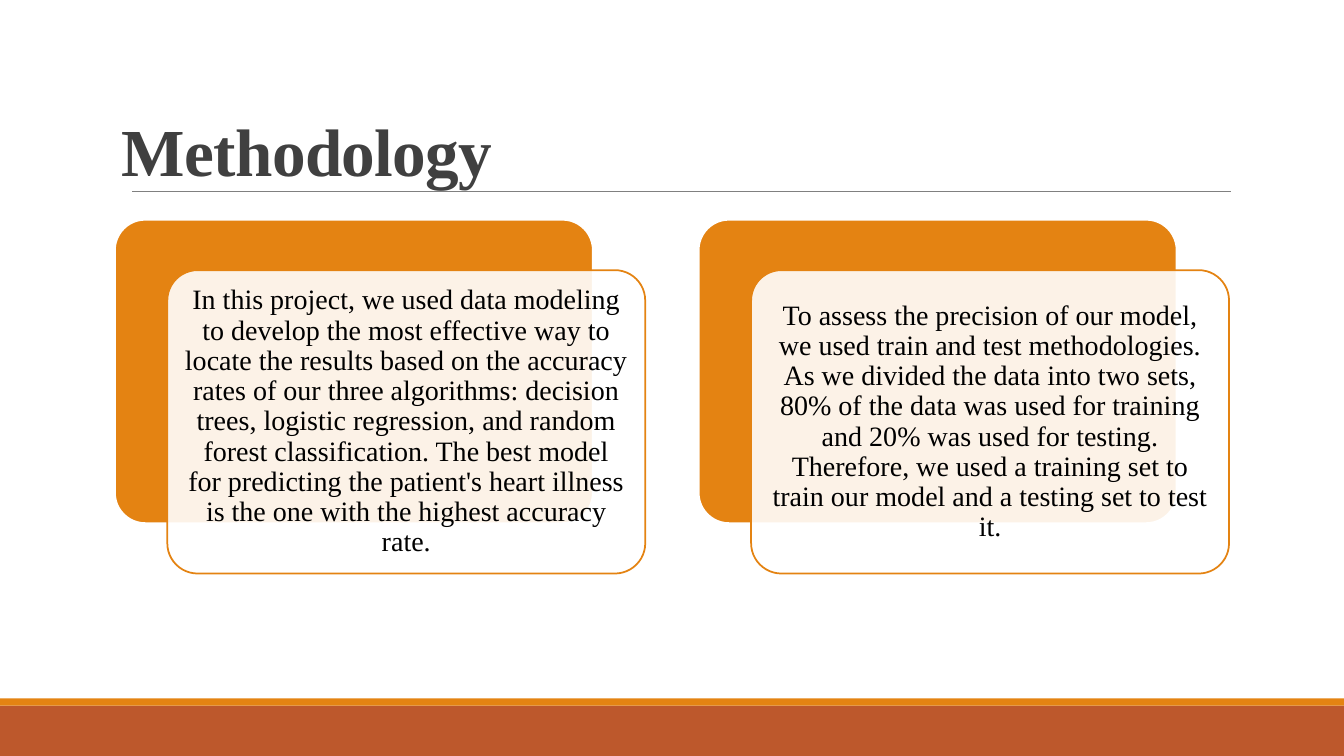
"""Build the Methodology slide with two layered text cards."""
from dataclasses import dataclass

from lxml.etree import SubElement
from pptx import Presentation
from pptx.dml.color import RGBColor as RGB
from pptx.enum.shapes import MSO_CONNECTOR as LINE, MSO_SHAPE as SHAPE
from pptx.enum.text import MSO_ANCHOR as ANCHOR, MSO_AUTO_SIZE as FIT, PP_ALIGN as ALIGN
from pptx.oxml.ns import qn
from pptx.util import Inches, Pt


@dataclass(frozen=True)
class Theme:
    font: str = "Times New Roman"
    head: int = 48
    body: int = 20
    dark: RGB = RGB(0x40, 0x40, 0x40)
    ink: RGB = RGB(0, 0, 0)
    gray: RGB = RGB(0x80, 0x80, 0x80)
    white: RGB = RGB(0xFF, 0xFF, 0xFF)
    gold: RGB = RGB(0xE4, 0x83, 0x12)
    rust: RGB = RGB(0xBD, 0x58, 0x2C)


THEME = Theme()
WIDTH = 13.33
CARDS = (
    "In this project, we used data modeling to develop the most effective way to "
    "locate the results based on the accuracy rates of our three algorithms: "
    "decision trees, logistic regression, and random forest classification. The "
    "best model for predicting the patient's heart illness is the one with the "
    "highest accuracy rate.",
    "To assess the precision of our model, we used train and test methodologies. "
    "As we divided the data into two sets, 80% of the data was used for training "
    "and 20% was used for testing. Therefore, we used a training set to train our "
    "model and a testing set to test it.",
)


def style(para, size, color, space, align):
    para.alignment = align
    para.line_spacing = space
    font = para.font
    font.name, font.size = THEME.font, Pt(size)
    font.color.rgb = color


def add_title(slide, text):
    title = slide.shapes.title
    title.left, title.top = Inches(1.11), Inches(0.7)
    title.width, title.height = Inches(11.13), Inches(1.7)
    frame = title.text_frame
    frame.text = text
    frame.word_wrap = True
    frame.auto_size = FIT.NONE
    frame.vertical_anchor = ANCHOR.MIDDLE
    para = frame.paragraphs[0]
    style(para, THEME.head, THEME.dark, 0.85, ALIGN.LEFT)
    para.font.bold = True
    para.runs[0].font._element.set("spc", "-50")


def add_band(slide, top, height, color):
    band = slide.shapes.add_shape(
        SHAPE.RECTANGLE, 0, Inches(top), Inches(WIDTH), Inches(height))
    band.shadow.inherit = False
    band.fill.solid()
    band.fill.fore_color.rgb = color
    band.line.fill.background()


def add_rule(slide, left, right, top):
    rule = slide.shapes.add_connector(
        LINE.STRAIGHT, Inches(left), Inches(top), Inches(right), Inches(top))
    rule.line.color.rgb = THEME.gray
    rule.line.width = Pt(0.5)
    SubElement(rule._element.spPr, qn("a:effectLst"))


def add_panel(slide, left, top, fill, edge):
    panel = slide.shapes.add_shape(
        SHAPE.ROUNDED_RECTANGLE, Inches(left), Inches(top), Inches(4.74), Inches(3.01))
    panel.adjustments[0] = 0.1
    panel.shadow.inherit = False
    panel.fill.solid()
    panel.fill.fore_color.rgb = fill
    panel.line.color.rgb = edge
    panel.line.width = Pt(1.25)
    return panel


def add_card(slide, left, text):
    top, shift = 2.18, 0.52
    add_panel(slide, left, top, THEME.gold, THEME.white)
    front = add_panel(slide, left + shift, top + 0.5, THEME.white, THEME.gold)
    color = front._element.spPr.find(qn("a:solidFill"))[0]
    SubElement(color, qn("a:alpha"), val="90000")
    frame = front.text_frame
    frame.text = text
    frame.word_wrap = True
    frame.vertical_anchor = ANCHOR.MIDDLE
    frame.margin_left = frame.margin_right = Inches(0.08)
    frame.margin_top = frame.margin_bottom = Inches(0.08)
    style(frame.paragraphs[0], THEME.body, THEME.ink, 0.9, ALIGN.CENTER)


def main():
    deck = Presentation()
    deck.slide_width, deck.slide_height = Inches(WIDTH), Inches(7.5)
    slide = deck.slides.add_slide(deck.slide_layouts[5])
    add_band(slide, 7, 0.5, THEME.rust)
    add_band(slide, 6.93, 0.07, THEME.gold)
    add_rule(slide, 1.31, 12.21, 1.9)
    add_title(slide, "Methodology")
    for i, text in enumerate(CARDS):
        add_card(slide, 1.14 + i * 5.79, text)
    deck.save("out.pptx")


if __name__ == "__main__":
    main()
